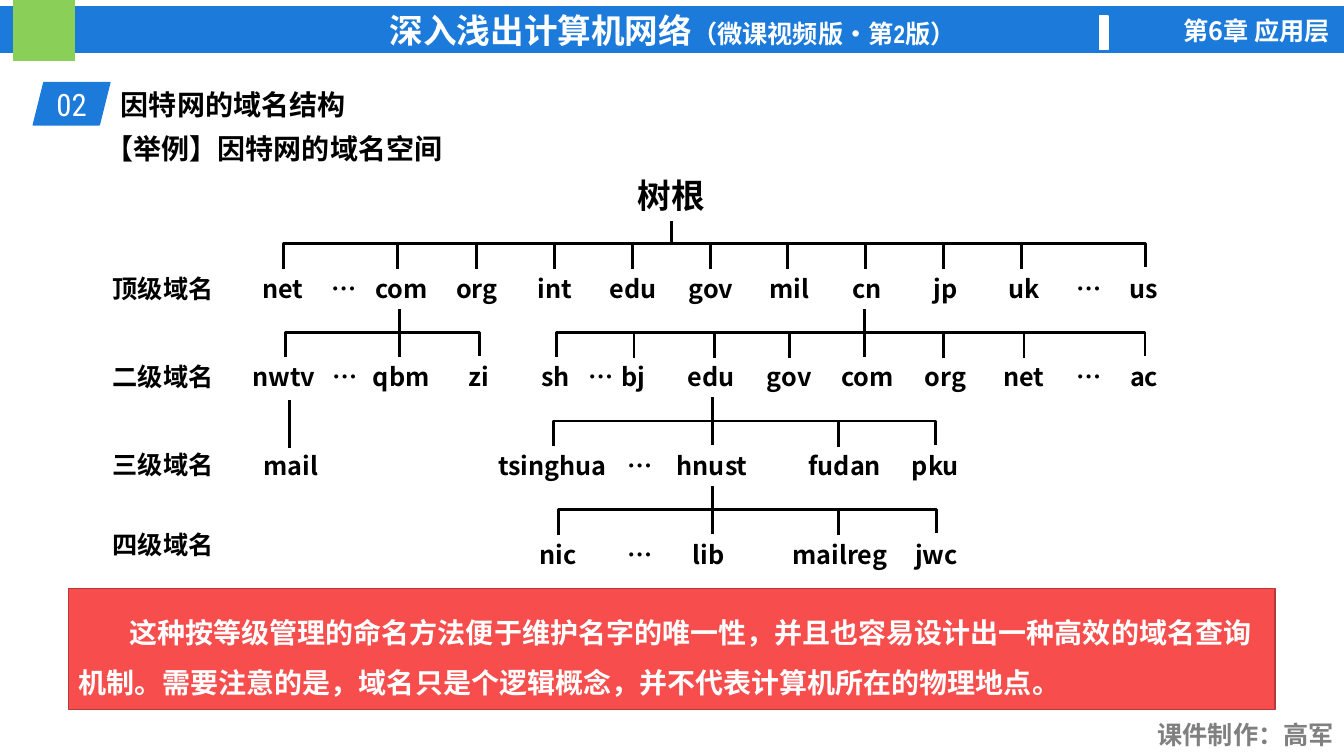
import dataclasses

import lxml.etree
import pptx
import pptx.dml.color
import pptx.enum.shapes
import pptx.enum.text
import pptx.oxml.ns
import pptx.util

Pt = pptx.util.Pt
qn = pptx.oxml.ns.qn
SHAPE = pptx.enum.shapes.MSO_SHAPE
CONNECTOR = pptx.enum.shapes.MSO_CONNECTOR
ANCHOR = pptx.enum.text.MSO_ANCHOR
ALIGN = pptx.enum.text.PP_ALIGN


@dataclasses.dataclass(frozen=True)
class Theme:
    blue: str = "1B7ADA"
    green: str = "8ACF57"
    red: str = "F84D4D"
    dark_red: str = "B73939"
    white: str = "FFFFFF"
    black: str = "000000"
    grey: str = "808080"
    sans: str = "Noto Sans CJK SC"
    narrow: str = "Arial Narrow"
    condensed: str = "Roboto Condensed"
    large: int = 24
    number: int = 22
    body: int = 20
    small: int = 18


T = Theme()

ROW_TOP, ROW_PITCH, ROW_HEIGHT = 191.5, 63.3, 28.8
BUS_RISE, STEM_RISE = 17.5, 34.2
COLUMNS = [340.6 + 55.8 * i for i in range(8)]
DROPS = [340.6 + 55.55 * i for i in range(8)]
LEVELS = [("顶级域名", 191.5), ("二级域名", 254.9), ("三级域名", 317.5), ("四级域名", 374.4)]

# row, labels with centres, bus ends, drops, stem
BRANCHES = [
    (0, [("net", 202), ("…", 242.3), ("com", 287),
         *zip(["org", "int", "edu", "gov", "mil", "cn", "jp", "uk"], COLUMNS),
         ("…", 774.3), ("us", 817.2)],
     (202.3, 817.9), [283.7, *DROPS], None),
    (1, [("nwtv", 202.7), ("…", 243), ("qbm", 286.6), ("zi", 342)],
     (203.8, 342.7), [], 285.1),
    (1, [("sh", 396.7), ("…", 425.9),
         *zip(["bj", "edu", "gov", "com", "org", "net"], COLUMNS[2:]),
         ("…", 774.3), ("ac", 817.2)],
     (397.4, 817.9), [452.9, 510.5, 563.8, 673.9, 731.5], 617.8),
    (2, [("tsinghua", 394.6), ("…", 454), ("hnust", 508.7), ("fudan", 603.4), ("pku", 668.2)],
     (395.3, 668.2), [599], 509),
    (3, [("nic", 398.5), ("…", 454), ("lib", 506.2), ("mailreg", 599.8), ("jwc", 668.9)],
     (398.9, 668.9), [599], 509),
]


def rgb(color):
    return pptx.dml.color.RGBColor.from_string(color)


def row_top(row):
    return ROW_TOP + ROW_PITCH * row


def add_run(p, text, size, color=T.black, font=T.sans, bold=True):
    r = p.add_run()
    r.text = text
    r.font.size, r.font.bold, r.font.name = Pt(size), bold, font
    r.font.color.rgb = rgb(color)
    rPr = r._r.get_or_add_rPr()
    rPr.set("lang", "zh-CN")
    ea = lxml.etree.Element(qn("a:ea"), typeface=T.sans)
    rPr.find(qn("a:latin")).addnext(ea)


def start_text(sp, align, anchor):
    """Prepare the shape's text frame and return its first paragraph."""
    tf = sp.text_frame
    tf.word_wrap = True
    tf.vertical_anchor = anchor
    p = tf.paragraphs[0]
    p.alignment = align
    return p


def add_text(s, box, text, size=T.small, align=ALIGN.LEFT, **style):
    sp = s.shapes.add_textbox(*map(Pt, box))
    add_run(start_text(sp, align, ANCHOR.TOP), text, size, **style)
    return sp


def add_block(s, kind, box, fill, line=None, align=ALIGN.CENTER):
    """Add a filled shape and return its first paragraph."""
    sp = s.shapes.add_shape(kind, *map(Pt, box))
    sp.shadow.inherit = False
    sp.fill.solid()
    sp.fill.fore_color.rgb = rgb(fill)
    sp.line.color.rgb = rgb(line or fill)
    sp.line.width = Pt(1)
    return start_text(sp, align, ANCHOR.MIDDLE)


def style_line(cxn):
    cxn.line.color.rgb = rgb(T.black)
    cxn.line.width = Pt(2)
    lxml.etree.SubElement(cxn._element.spPr, qn("a:effectLst"))


def add_vertical(s, x, top, bottom):
    cxn = s.shapes.add_connector(CONNECTOR.STRAIGHT, Pt(x), Pt(top), Pt(x), Pt(bottom))
    style_line(cxn)
    return cxn


def add_bracket(s, left, right, foot):
    """Add an elbow that rises 18 points from its left foot and spans to the right."""
    middle, half = (left + right) / 2, (right - left) / 2
    cxn = s.shapes.add_connector(
        CONNECTOR.ELBOW, Pt(middle - 0.5), Pt(foot - 0.5 - half),
        Pt(middle + 0.5), Pt(foot - 0.5 + half))
    spPr = cxn._element.spPr
    xfrm = spPr.find(qn("a:xfrm"))
    for name, value in (("rot", "5400000"), ("flipH", "1"), ("flipV", "1")):
        xfrm.set(name, value)
    geom = spPr.find(qn("a:prstGeom"))
    av = geom.find(qn("a:avLst"))
    if av is None:
        av = lxml.etree.SubElement(geom, qn("a:avLst"))
    lxml.etree.SubElement(av, qn("a:gd"), name="adj1", fmla="val 1800000")
    style_line(cxn)


def add_domain(s, name, center, row):
    width = 25.2 if name == "…" else max(60, 12 * len(name) + 18)
    add_text(s, (center - width / 2, row_top(row), width, ROW_HEIGHT), name, align=ALIGN.CENTER)


def add_branch(s, row, labels, ends, drops, stem):
    top = row_top(row)
    for name, center in labels:
        add_domain(s, name, center, row)
    add_bracket(s, *ends, top + 0.5)
    for x in drops:
        add_vertical(s, x, top - BUS_RISE, top + 1)
    if stem:
        add_vertical(s, stem, top - STEM_RISE, top)


def add_header(s):
    p = add_block(s, SHAPE.RECTANGLE, (0, 5, 961, 32.4), T.blue)
    add_run(p, "深入浅出计算机网络", T.large, T.white, T.narrow)
    add_run(p, "（微课视频版•第2版）", T.small, T.white, T.narrow)
    add_block(s, SHAPE.RECTANGLE, (10.1, 0, 43.2, 43.2), T.green)
    add_block(s, SHAPE.RECTANGLE, (785.5, 11.5, 6, 23.8), T.white)
    add_text(s, (800, 7.2, 157, 28.8), "第6章 应用层", align=ALIGN.RIGHT, color=T.white)
    add_text(s, (816.5, 510.5, 143.3, 28.8), "课件制作：高军", align=ALIGN.RIGHT,
             color=T.grey, font=T.narrow)


def add_heading(s):
    title = s.shapes.title
    title.left, title.top, title.width, title.height = map(Pt, (79.2, 59, 432.7, 31.7))
    add_run(start_text(title, ALIGN.LEFT, ANCHOR.MIDDLE), "因特网的域名结构", T.body)
    p = add_block(s, SHAPE.PARALLELOGRAM, (23.8, 59, 54.7, 30.2), T.blue)
    add_run(p, "02", T.number, T.white, T.condensed, bold=False)
    p = add_block(s, SHAPE.RECTANGLE, (68.4, 90.7, 274.3, 30.2), T.white, align=ALIGN.LEFT)
    add_run(p, "【举例】因特网的域名空间", T.body, font=T.narrow)


def add_tree(s):
    for branch in BRANCHES:
        add_branch(s, *branch)
    add_domain(s, "mail", 207.7, 2)
    add_vertical(s, 206.6, 285.8, 319.7)
    root = add_text(s, (447.8, 121.7, 63.4, 36), "树根", T.large, ALIGN.CENTER)
    add_vertical(s, 479.5, 157.7, 174).begin_connect(root, 2)
    for name, top in LEVELS:
        add_text(s, (73.4, top, 96.5, ROW_HEIGHT), name)


def add_note(s):
    p = add_block(s, SHAPE.RECTANGLE, (49, 420.5, 861.8, 86.4), T.red, T.dark_red, ALIGN.LEFT)
    p.line_spacing = 1.5
    p._p.get_or_add_pPr().set("indent", str(Pt(36.4)))
    add_run(p, "这种按等级管理的命名方法便于维护名字的唯一性，并且也容易设计出一种高效的域名查询机制。"
               "需要注意的是，域名只是个逻辑概念，并不代表计算机所在的物理地点。",
            T.body, T.white, T.narrow)


def main():
    prs = pptx.Presentation()
    prs.slide_width, prs.slide_height = Pt(960), Pt(540)
    s = prs.slides.add_slide(prs.slide_layouts[5])
    add_header(s)
    add_heading(s)
    add_tree(s)
    add_note(s)
    prs.save("out.pptx")


if __name__ == "__main__":
    main()
